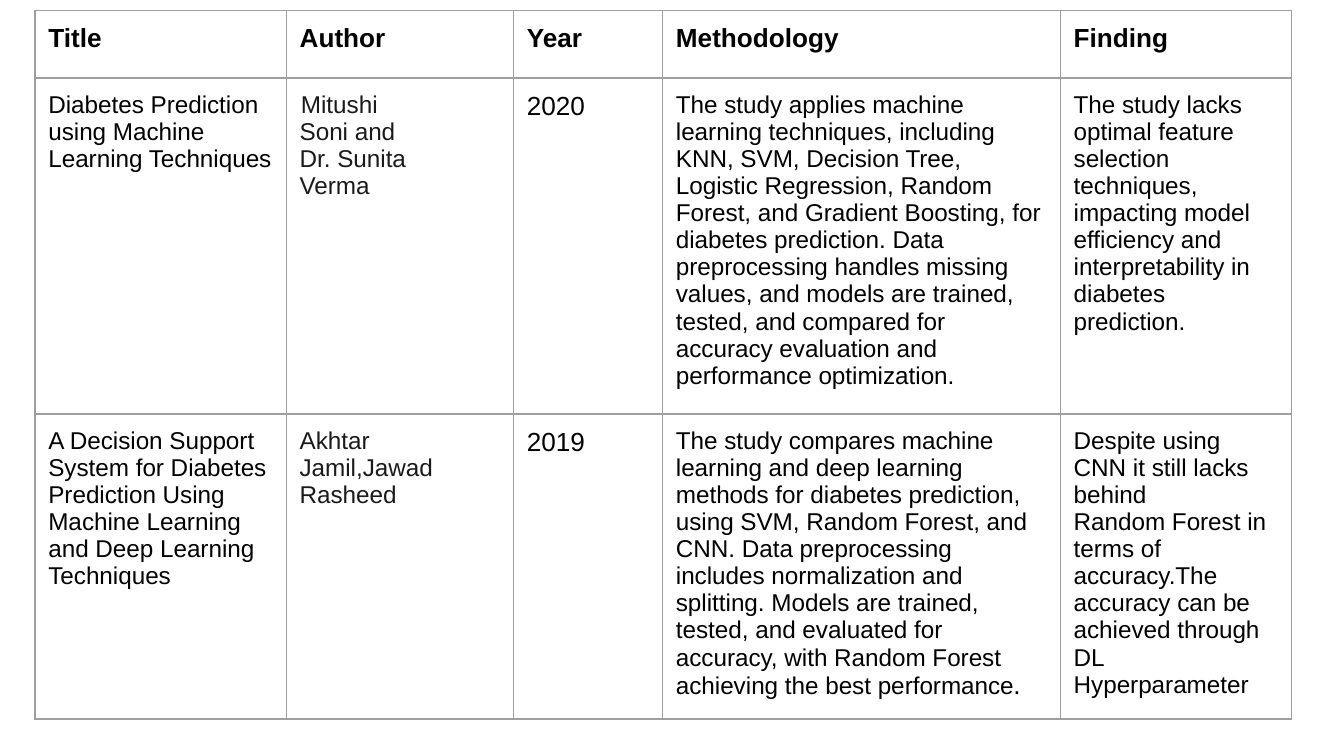
from pptx import Presentation
from pptx.dml.color import RGBColor
from pptx.oxml import parse_xml
from pptx.oxml.ns import nsdecls
from pptx.util import Inches, Pt

BLACK = RGBColor(0x00, 0x00, 0x00)
CHARCOAL = RGBColor(0x1A, 0x1A, 0x1A)
GRAY = RGBColor(0x9E, 0x9E, 0x9E)

COLUMN_WIDTHS = [1.87, 1.69, 1.11, 2.96, 1.72]
ROW_HEIGHTS = [0.5, 2.5, 2.27]
HEADERS = ["Title", "Author", "Year", "Methodology", "Finding"]
STUDIES = [
    [
        "Diabetes Prediction using Machine Learning Techniques",
        "Mitushi Soni and Dr. Sunita Verma",
        "2020",
        "The study applies machine learning techniques, including KNN, SVM, "
        "Decision Tree, Logistic Regression, Random Forest, and Gradient "
        "Boosting, for diabetes prediction. Data preprocessing handles missing "
        "values, and models are trained, tested, and compared for accuracy "
        "evaluation and performance optimization.",
        "The study lacks optimal feature selection techniques, impacting model "
        "efficiency and interpretability in diabetes prediction.",
    ],
    [
        "A Decision Support System for Diabetes Prediction Using Machine "
        "Learning and Deep Learning Techniques",
        "Akhtar Jamil,Jawad Rasheed",
        "2019",
        "The study compares machine learning and deep learning methods for "
        "diabetes prediction, using SVM, Random Forest, and CNN. Data "
        "preprocessing includes normalization and splitting. Models are "
        "trained, tested, and evaluated for accuracy, with Random Forest "
        "achieving the best performance",
        "Despite using CNN it still lacks behind\n"
        "Random Forest in terms of accuracy.The accuracy can be achieved "
        "through DL Hyperparameter",
    ],
]


def add_text(paragraph, text, size=13, color=BLACK, bold=False):
    run = paragraph.add_run()
    run.text = text
    run.font.name = "Arial"
    run.font.size = Pt(size)
    run.font.bold = bold
    run.font.color.rgb = color


def add_borders(cell):
    properties = cell._tc.get_or_add_tcPr()
    for side in ("lnL", "lnR", "lnT", "lnB"):
        properties.append(parse_xml(
            f'<a:{side} {nsdecls("a")} w="{Pt(0.75)}"><a:solidFill>'
            f'<a:srgbClr val="{GRAY}"/></a:solidFill></a:{side}>'
        ))


presentation = Presentation()
presentation.slide_width = Inches(10)
presentation.slide_height = Inches(10) * 9 // 16
slide = presentation.slides.add_slide(presentation.slide_layouts[6])

table = slide.shapes.add_table(
    len(ROW_HEIGHTS), len(COLUMN_WIDTHS), Inches(0.26), Inches(0.08),
    Inches(sum(COLUMN_WIDTHS)), Inches(sum(ROW_HEIGHTS)),
).table
table.horz_banding = False
for column, width in zip(table.columns, COLUMN_WIDTHS):
    column.width = Inches(width)
for row, height in zip(table.rows, ROW_HEIGHTS):
    row.height = Inches(height)

for row_index, texts in enumerate([HEADERS] + STUDIES):
    for column_index, text in enumerate(texts):
        cell = table.cell(row_index, column_index)
        cell.margin_left = cell.margin_right = Inches(0.1)
        cell.margin_top = cell.margin_bottom = Inches(0.1)
        add_borders(cell)
        cell.fill.background()
        is_header = row_index == 0
        heading = HEADERS[column_index]
        size = 14 if is_header or heading == "Year" else 13
        color = CHARCOAL if heading == "Author" and not is_header else BLACK
        for line_index, line in enumerate(text.split("\n")):
            frame = cell.text_frame
            paragraph = frame.add_paragraph() if line_index else frame.paragraphs[0]
            add_text(paragraph, line, size=size, color=color, bold=is_header)

first_author = table.cell(1, 1)
first_author.margin_right = Inches(0.7)
author_properties = first_author.text_frame.paragraphs[0]._p.get_or_add_pPr()
author_properties.set("indent", str(Inches(0.01)))
add_text(table.cell(2, 3).text_frame.paragraphs[0], ".", size=14)

presentation.save("out.pptx")
